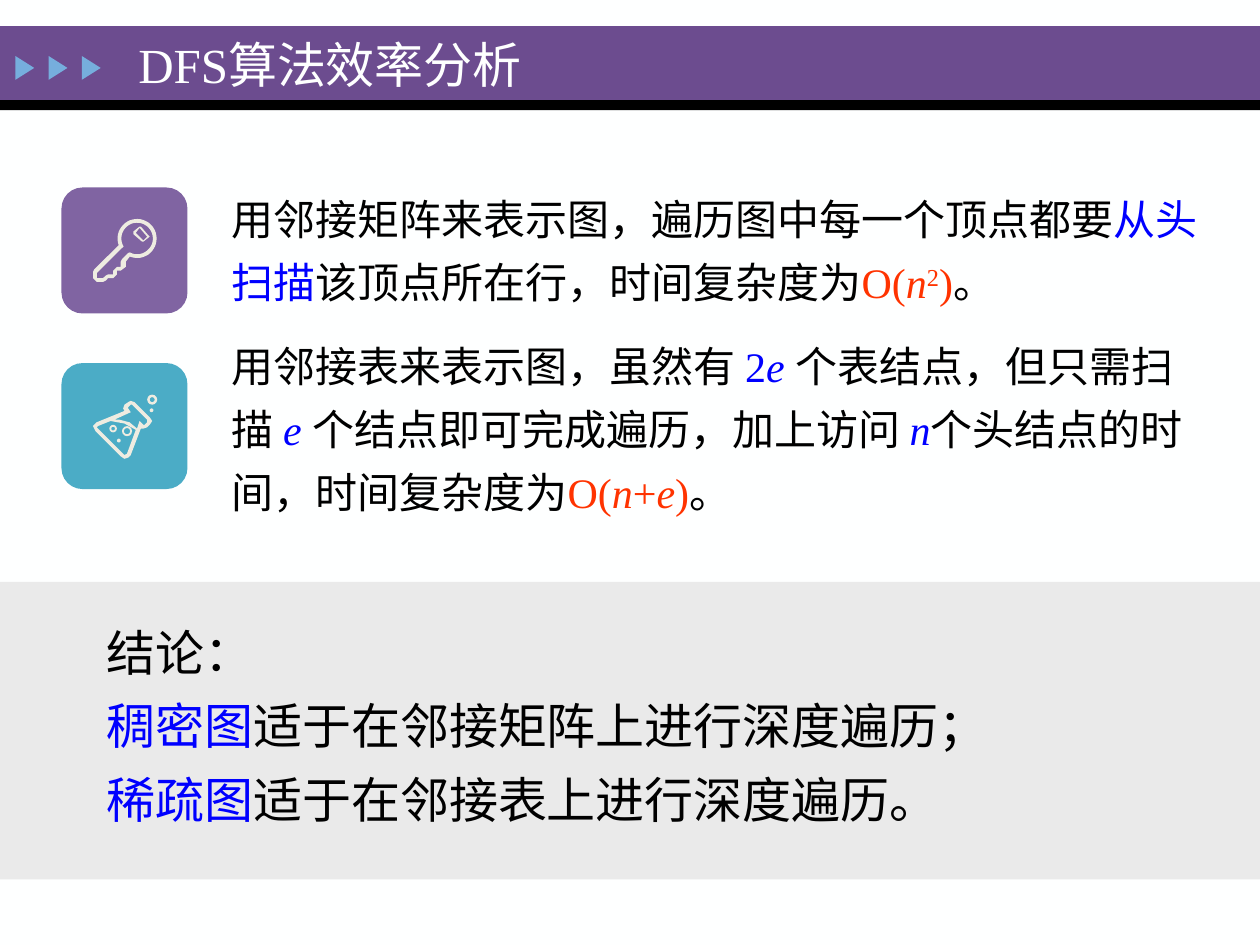
from math import cos, radians, sin

from pptx import Presentation
from pptx.dml.color import RGBColor
from pptx.enum.shapes import MSO_SHAPE as Preset
from pptx.enum.text import MSO_ANCHOR as Anchor
from pptx.util import Cm, Pt

WHITE = RGBColor(0xFE, 0xFF, 0xFF)
BLACK = RGBColor(0, 0, 0)
BLUE = RGBColor(0, 0, 0xFF)
RED = RGBColor(0xFF, 0x33, 0)
HEADER = RGBColor(0x6C, 0x4C, 0x8F)
ARROW = RGBColor(0x76, 0xAE, 0xDD)
PANEL = RGBColor(0xEA, 0xEA, 0xEA)
PURPLE = RGBColor(0x80, 0x64, 0xA2)
TEAL = RGBColor(0x4B, 0xAC, 0xC6)
CREAM = RGBColor(0xEE, 0xEC, 0xE1)

# Text: paragraphs of (text, style) spans
STYLES = {
    "title": {"color": WHITE},
    "plain": {"color": BLACK},
    "key": {"color": BLUE},
    "key var": {"color": BLUE, "italic": True},
    "cost": {"color": RED},
    "cost var": {"color": RED, "italic": True},
    "cost power": {"color": RED, "baseline": 30000},
}
TITLE = [[("DFS算法效率分析", "title")]]
ANALYSIS = [
    [("用邻接矩阵来表示图，遍历图中每一个顶点都要", "plain"), ("从头扫描", "key"),
     ("该顶点所在行，时间复杂度为", "plain"), ("O(", "cost"), ("n", "cost var"),
     ("2", "cost power"), (")", "cost"), ("。", "plain")],
    [("用邻接表来表示图，虽然有 ", "plain"), ("2", "key"), ("e ", "key var"),
     ("个表结点，但只需扫描 ", "plain"), ("e ", "key var"),
     ("个结点即可完成遍历，加上访问 ", "plain"), ("n", "key var"),
     ("个头结点的时间，时间复杂度为", "plain"), ("O(", "cost"), ("n", "cost var"),
     ("+", "cost"), ("e", "cost var"), (")", "cost"), ("。", "plain")],
]
CONCLUSION = [
    [("结论：", "plain")],
    [("稠密图", "key"), ("适于在邻接矩阵上进行深度遍历；", "plain")],
    [("稀疏图", "key"), ("适于在邻接表上进行深度遍历。", "plain")],
]


def arc(radius, start, end, centre=(60, 40.5)):
    """Points of the round key head, angles in degrees."""
    return [(centre[0] + radius * cos(radians(angle)),
             centre[1] + radius * sin(radians(angle)))
            for angle in range(start, end + 1, 8)]


# Icons on a 100 x 100 grid over their tile; each outline lists its contours
KEY = {
    "outlines": [
        [arc(15.5, 160, 472) + [
            (51, 59), (51, 63), (47, 66), (44, 66), (44, 69), (41, 72), (37, 72),
            (35, 74), (33, 75), (28, 75), (25, 72), (25, 67), (26, 65)],
         (arc(12.5, 149, 480) + [
             (53, 52), (48, 57), (47, 59), (47, 63), (44, 63), (41, 66), (41, 69),
             (37, 69), (35, 70), (33, 72), (28, 72), (28, 68), (47, 49)])[::-1]],
        [[(69, 38), (63, 31), (62, 31), (57, 35), (57, 37), (64, 43), (65, 43),
          (70, 39)],
         [(65, 42), (68, 39), (62, 32), (59, 36)][::-1]],
    ],
    "rings": [], "dots": [],
}
FLASK = {
    "outlines": [
        [[(58, 31), (55, 30), (53, 31), (50, 33), (49, 36), (50, 38), (28, 47),
          (25, 50), (27, 54), (47, 74), (50, 76), (53, 75), (55, 73), (63, 52),
          (65, 52), (68, 51), (70, 49), (72, 46), (70, 43)],
         [(68, 47), (66, 49), (65, 49), (62, 46), (60, 52), (54, 47), (46, 45),
          (42, 45), (55, 39), (53, 36), (53, 35), (55, 33), (56, 33), (68, 45)],
         [(52, 72), (50, 73), (49, 72), (29, 52), (28, 51), (29, 50), (39, 46),
          (50, 48), (59, 53)]],
    ],
    "rings": [(48, 50, 8, 1.5), (68, 25, 8, 2), (38, 49, 6, 1.5)],
    "dots": [(44, 60, 3), (70, 36, 3)],
}
TILE = 2.54
TILE_LEFT = 1.24
TILES = [(7.32, TEAL, FLASK), (3.78, PURPLE, KEY)]


def paint(shape, color):
    shape.shadow.inherit = False
    shape.fill.solid()
    shape.fill.fore_color.rgb = color
    shape.line.fill.background()
    return shape


def add_block(shapes, preset, left, top, width, height, color):
    return paint(shapes.add_shape(preset, Cm(left), Cm(top), Cm(width), Cm(height)),
                 color)


def add_text(page, frame, paragraphs, size, spacing=1.25, gap=0, anchor=Anchor.TOP):
    box = page.shapes.add_textbox(*map(Cm, frame)).text_frame
    box.word_wrap = True
    box.vertical_anchor = anchor
    for index, spans in enumerate(paragraphs):
        para = box.add_paragraph() if index else box.paragraphs[0]
        para.line_spacing = spacing
        if index and gap:
            para.space_before = Pt(gap)
        for text, style in spans:
            span = para.add_run()
            span.text = text
            look = {"name": "Times New Roman", "size": Pt(size), **STYLES[style]}
            span.font.color.rgb = look.pop("color")
            if "baseline" in look:
                span._r.get_or_add_rPr().set("baseline", str(look.pop("baseline")))
            for name, value in look.items():
                setattr(span.font, name, value)


def add_icon(page, top, color, icon):
    shapes = page.shapes.add_group_shape().shapes
    add_block(shapes, Preset.ROUNDED_RECTANGLE, TILE_LEFT, top, TILE, TILE, color)
    unit = TILE / 100
    fine = 10  # freeform points are whole numbers, so use a finer grid
    for contours in icon["outlines"]:
        contours = [[(x * fine, y * fine) for x, y in points] for points in contours]
        builder = shapes.build_freeform(*contours[0][0], scale=Cm(TILE) / 100 / fine)
        for index, points in enumerate(contours):
            if index:
                builder.move_to(*points[0])
            builder.add_line_segments(points[1:], close=True)
        paint(builder.convert_to_shape(Cm(TILE_LEFT), Cm(top)), CREAM)
    for x, y, size, thickness in icon["rings"]:
        ring = add_block(shapes, Preset.DONUT, TILE_LEFT + x * unit, top + y * unit,
                         size * unit, size * unit, CREAM)
        ring.adjustments[0] = thickness / size
    for x, y, size in icon["dots"]:
        add_block(shapes, Preset.OVAL, TILE_LEFT + x * unit, top + y * unit,
                  size * unit, size * unit, CREAM)


def main():
    deck = Presentation()
    deck.slide_width, deck.slide_height = Cm(25.4), Cm(19.05)
    page = deck.slides.add_slide(deck.slide_layouts[6])
    page.background.fill.solid()
    page.background.fill.fore_color.rgb = WHITE

    # Header bands, arrows and the conclusion panel
    for top, height, color in [(0.53, 1.49, HEADER), (2.02, 0.2, BLACK),
                               (11.73, 6, PANEL)]:
        add_block(page.shapes, Preset.RECTANGLE, 0, top, 25.4, height, color)
    arrows = page.shapes.add_group_shape().shapes
    for index in range(3):
        add_block(arrows, Preset.ISOSCELES_TRIANGLE, 0.26 + 0.67 * index, 1.18,
                  0.48, 0.38, ARROW).rotation = 90

    # Texts
    add_text(page, (4.42, 3.53, 20.04, 7.52), ANALYSIS, 24, gap=12)
    add_text(page, (1.9, 12.12, 23.01, 4.75), CONCLUSION, 28)
    add_text(page, (2.54, 0.58, 14.2, 1.42), TITLE, 28, spacing=1, anchor=Anchor.MIDDLE)

    # Icon tiles
    for top, color, icon in TILES:
        add_icon(page, top, color, icon)

    deck.save("out.pptx")


if __name__ == "__main__":
    main()
